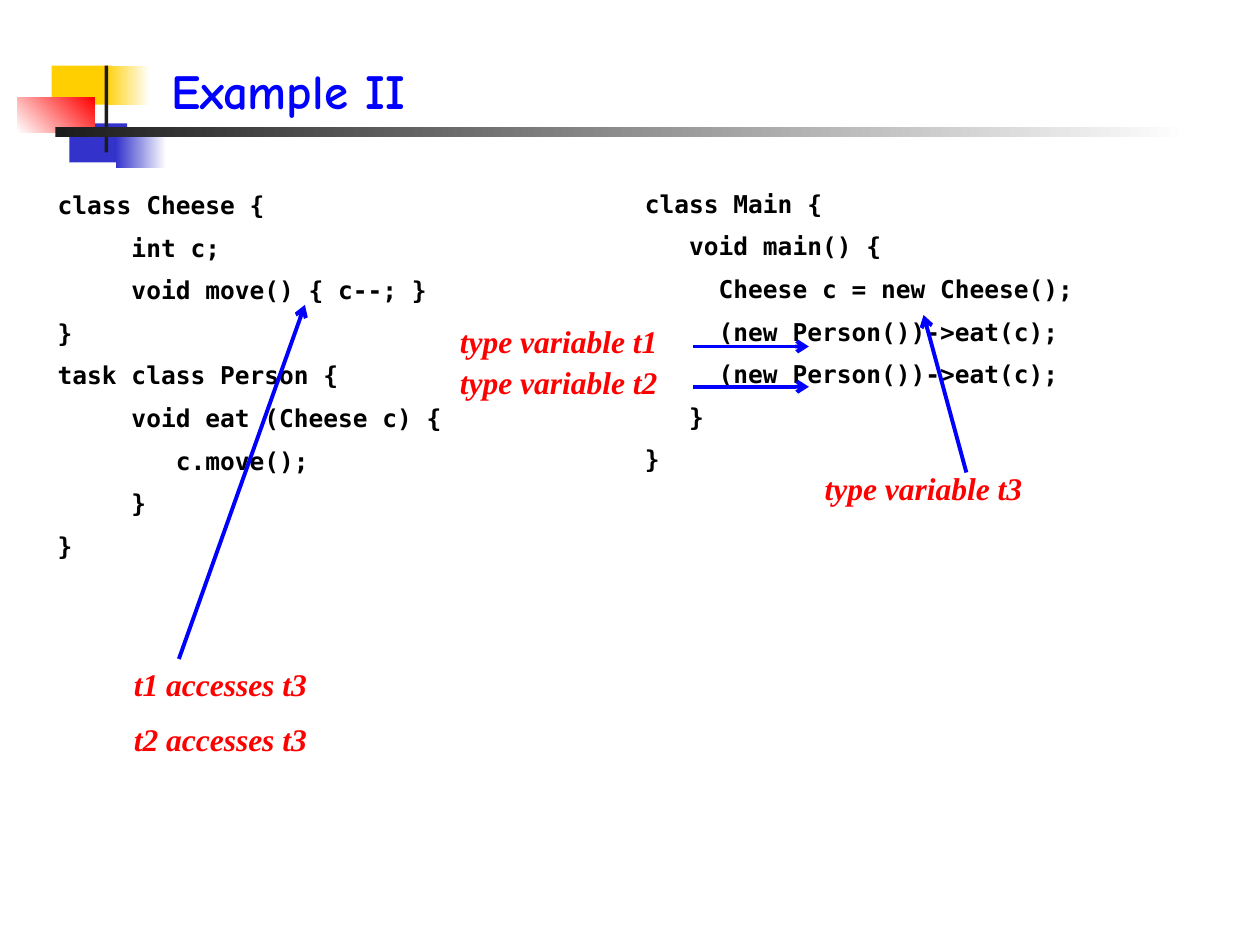
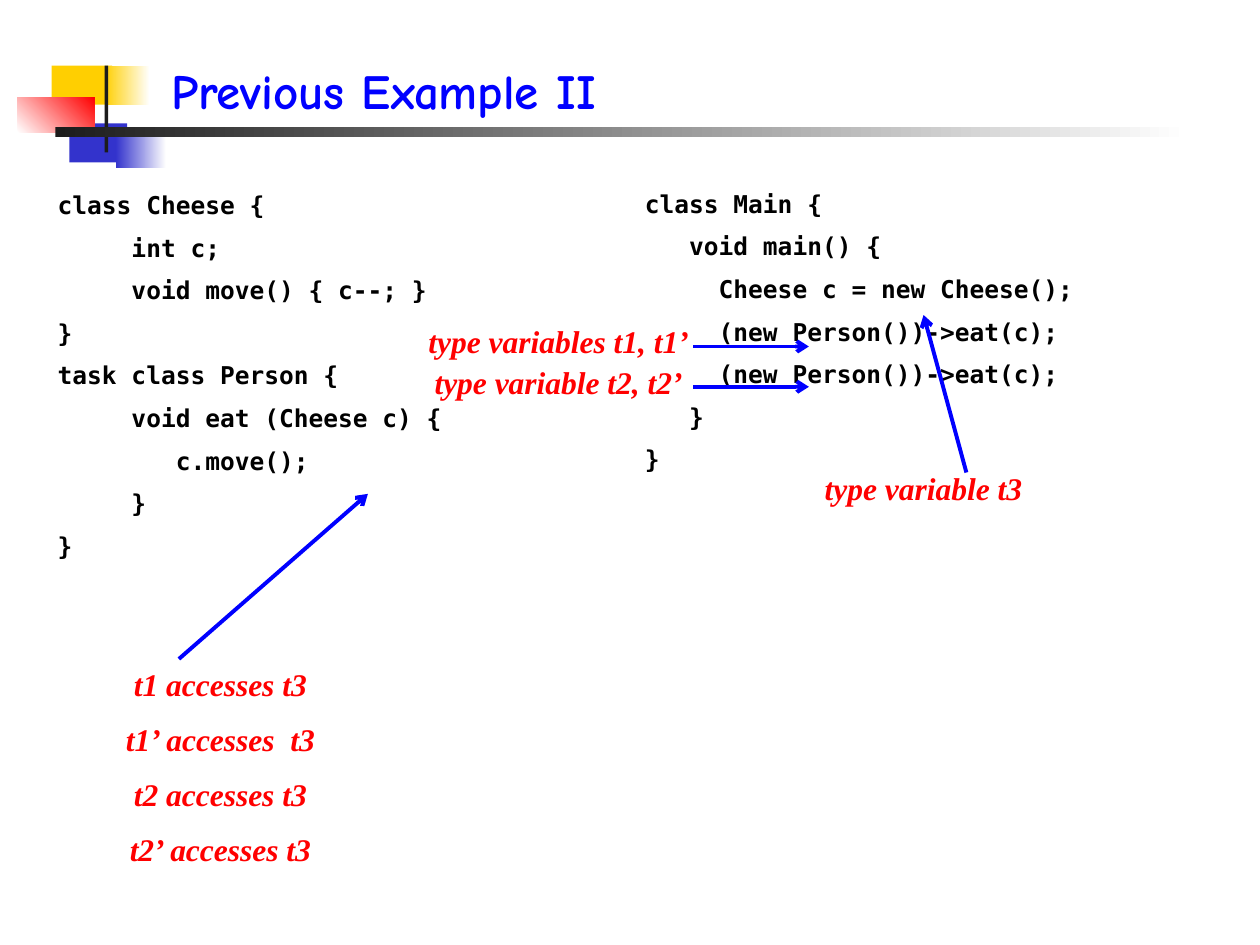
import pptx
import pptx.dml.color
import pptx.enum.shapes
import pptx.enum.text
import pptx.util
from pptx.oxml import xmlchemy

PX_PER_INCH = 100
SCALE = 914400 // PX_PER_INCH
COLORS = {
    "title": "0000FF",
    "code": "000000",
    "note": "FF0000",
    "arrow": "0000FF",
    "yellow": "FFCF01",
    "blue": "3333CC",
    "red": "FF0000",
    "dark": "1C1C1C",
    "white": "FFFFFF",
}
TITLE = dict(font="Comic Neue", size=28, color="title", anchor="BOTTOM")
CODE = dict(font="DejaVu Sans Mono", size=14, color="code", space=7.5, wrap=False)
NOTE = dict(font="Times New Roman", size=18, color="note", space=9.8,
            italic=True, align="CENTER")

MAIN_CODE = """class Main {
   void main() {
     Cheese c = new Cheese();
     (new Person())->eat(c);
     (new Person())->eat(c);
   }
}"""
CHEESE_CODE = """class Cheese {
     int c;
     void move() { c--; }
}
task class Person {
     void eat (Cheese c) {
        c.move();
     }
}"""


def rgb(name):
    return pptx.dml.color.RGBColor.from_string(COLORS[name])


def write_text(frame, text, *, font, size, color, space=0, italic=False,
               align="LEFT", anchor="TOP", wrap=True):
    """Fill a text frame, one paragraph for each line of text."""
    frame.word_wrap = wrap
    frame.vertical_anchor = pptx.enum.text.MSO_ANCHOR[anchor]
    for index, line in enumerate(text.split("\n")):
        paragraph = frame.add_paragraph() if index else frame.paragraphs[0]
        paragraph.alignment = pptx.enum.text.PP_ALIGN[align]
        paragraph.space_before = pptx.util.Pt(space if index else 0)
        run = paragraph.add_run()
        run.text = line
        run.font.name = font
        run.font.size = pptx.util.Pt(size)
        run.font.bold = True
        run.font.italic = italic
        run.font.color.rgb = rgb(color)


class Deck:
    """Holds the presentation, its style and the slide being drawn."""

    def __init__(self, width, height):
        self.presentation = pptx.Presentation()
        self.presentation.slide_width = width * SCALE
        self.presentation.slide_height = height * SCALE
        self.slide = None

    def start_slide(self, title):
        layout = self.presentation.slide_layouts[6]
        self.slide = self.presentation.slides.add_slide(layout)
        self.ornament()
        self.text(title, 126, 25, 852, 75, **TITLE)

    def ornament(self):
        """Draw the coloured blocks and the fading rule beside the title."""
        self.block(41, 52, 48, 31, "yellow")
        self.block(83, 52, 36, 31, "yellow", "white")
        self.block(55, 98, 46, 31, "blue")
        self.block(92, 102, 40, 31, "blue", "white")
        self.block(14, 77, 61, 28, "white", "red", angle=45)
        self.block(83, 52, 3, 69, "dark")
        self.block(44, 101, 900, 8, "dark", "white")

    def block(self, left, top, width, height, color, fade_to=None, angle=0):
        """Draw a borderless rectangle, plain or fading to a second colour."""
        shape = self.slide.shapes.add_shape(
            pptx.enum.shapes.MSO_SHAPE.RECTANGLE,
            *(length * SCALE for length in (left, top, width, height)))
        shape.shadow.inherit = False
        shape.line.fill.background()
        if fade_to is None:
            shape.fill.solid()
            shape.fill.fore_color.rgb = rgb(color)
            return
        shape.fill.gradient()
        shape.fill.gradient_angle = angle
        for stop, name in zip(shape.fill.gradient_stops, (color, fade_to)):
            stop.color.rgb = rgb(name)

    def text(self, text, left, top, width, height, **style):
        box = self.slide.shapes.add_textbox(
            *(length * SCALE for length in (left, top, width, height)))
        write_text(box.text_frame, text, **style)

    def arrow(self, start, end):
        connector = self.slide.shapes.add_connector(
            pptx.enum.shapes.MSO_CONNECTOR.STRAIGHT,
            *(length * SCALE for length in (*start, *end)))
        connector.line.color.rgb = rgb("arrow")
        connector.line.width = pptx.util.Pt(2.25)
        line = connector.line._get_or_add_ln()
        head = xmlchemy.OxmlElement("a:tailEnd")
        head.set("type", "arrow")
        line.append(head)
        line.addnext(xmlchemy.OxmlElement("a:effectLst"))

    def example(self, title, person_notes, accesses, access_target):
        """Draw the code with its type variables and the accesses to t3."""
        self.start_slide(title)
        self.text(MAIN_CODE, 502, 145, 362, 281, **CODE)
        self.text(CHEESE_CODE, 36, 146, 327, 352, **CODE)
        for index, note in enumerate(person_notes):
            offset = 32 * index
            self.arrow((550, 275 + offset), (642, 275 + offset))
            self.text(note, 302, 251 + offset, 283, 40, **NOTE)
        self.text("type variable t3", 508, 367, 450, 40, **NOTE)
        self.arrow((767, 375), (733, 250))
        self.text("\n".join(accesses), -50, 523, 450, 44 * len(accesses), **NOTE)
        self.arrow((142, 523), access_target)


def main():
    deck = Deck(1000, 750)
    deck.example(
        "Example II",
        ["type variable t1", "type variable t2"],
        ["t1 accesses t3", "t2 accesses t3"],
        (242, 242))
    deck.example(
        "Previous Example II",
        ["type variables t1, t1’", "type variable t2, t2’"],
        ["t1 accesses t3", "t1’ accesses  t3", "t2 accesses t3", "t2’ accesses t3"],
        (292, 392))
    deck.presentation.save("out.pptx")


if __name__ == "__main__":
    main()
